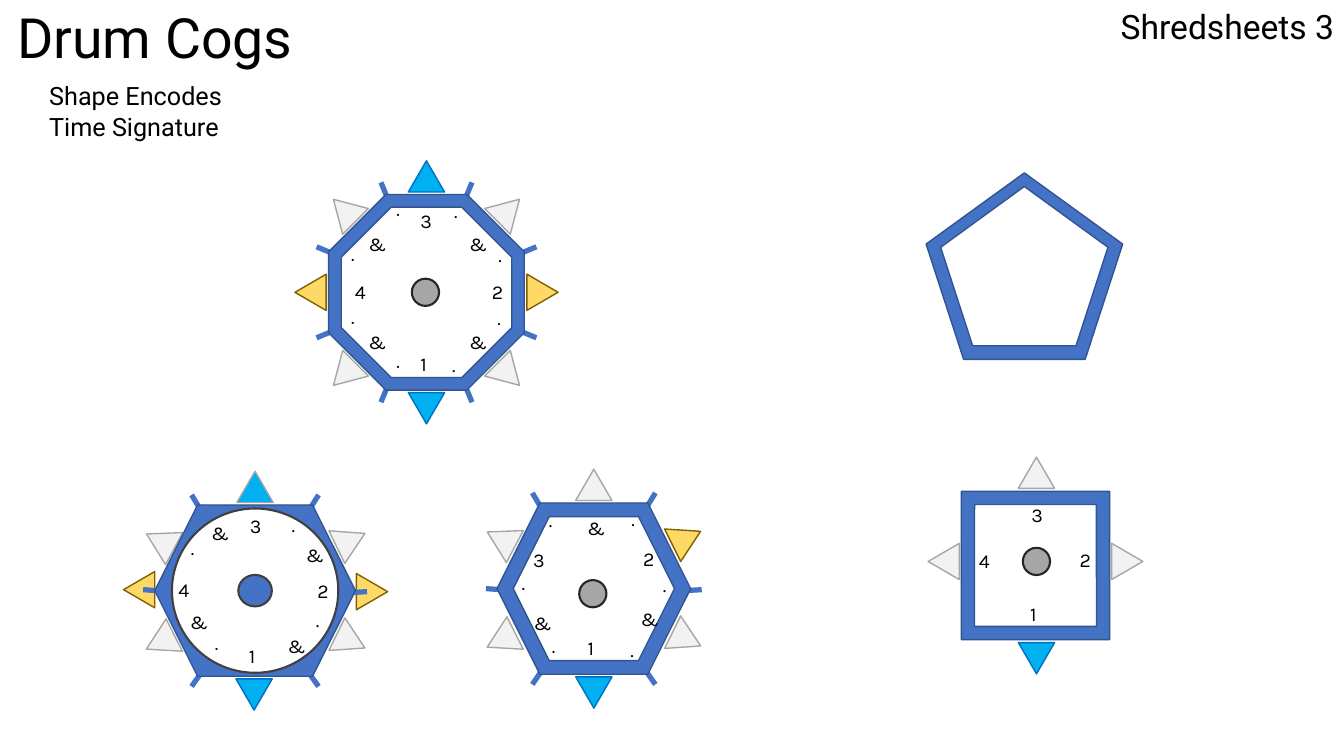
from dataclasses import dataclass
from math import cos, radians, sin

from lxml import etree
from pptx import Presentation
from pptx.dml.color import RGBColor
from pptx.enum.shapes import MSO_CONNECTOR, MSO_SHAPE
from pptx.enum.text import MSO_ANCHOR, MSO_AUTO_SIZE, PP_ALIGN
from pptx.oxml.ns import qn
from pptx.util import Inches, Pt

STRAIGHT = MSO_CONNECTOR.STRAIGHT
TRIANGLE, DISC, DONUT = MSO_SHAPE.ISOSCELES_TRIANGLE, MSO_SHAPE.OVAL, MSO_SHAPE.DONUT
OCTAGON, HEXAGON = MSO_SHAPE.OCTAGON, MSO_SHAPE.HEXAGON
PENTAGON, DIAMOND = MSO_SHAPE.REGULAR_PENTAGON, MSO_SHAPE.DIAMOND
LEFT, RIGHT = PP_ALIGN.LEFT, PP_ALIGN.RIGHT
TOP, MIDDLE = MSO_ANCHOR.TOP, MSO_ANCHOR.MIDDLE
COLS, ROWS = 133.3, 75
CELL = Inches(13.33) / COLS


@dataclass(frozen=True)
class Theme:
    """Fonts, type sizes and (fill, line, line width) styles of the slide."""
    head_font: str = "Roboto"
    mark_font: str = "Karla"
    ink: str = "000000"
    spoke: str = "4472C4"
    spoke_width: float = 3.75
    title: float = 39.6
    header: float = 24
    note: float = 18
    mark: float = 14
    frame: tuple = ("4472C4", "325491", 1)
    face: tuple = ("FFFFFF", "325491", 1)
    dial: tuple = ("FFFFFF", "404040", 1.5)
    hub: tuple = ("A6A6A6", "262626", 1.5)
    blue: tuple = ("00B0F0", "0070C0", 1)
    blue_soft: tuple = ("00B0F0", "A6A6A6", 1)
    gold: tuple = ("FFD966", "806000", 1)
    blank: tuple = ("F2F2F2", "A6A6A6", 1)


T = Theme()
MARK_WIDTHS = {"&": 3.5, ".": 2.7, "1": 3}

OCTAGON_COG = {
    "center": (42.3, 29),
    "teeth": [(11.5 * sin(radians(a)), -11.5 * cos(radians(a)), a, style)
              for a, style in zip(range(0, 360, 45), (T.blue, T.blank, T.gold, T.blank) * 2)],
    "spokes": [(11.8 * sin(radians(a + 22.5)), 11.8 * cos(radians(a + 22.5)))
               for a in range(0, 360, 45)],
    "layers": [(OCTAGON, 19.4, 19.4, T.frame, 0), (OCTAGON, 16.9, 16.9, T.face, 0)],
    "hub": (-0.1, 0),
    "marks": [("3", 0, -7.1), ("2", 7.1, 0), ("1", -0.1, 7.1), ("4", -6.5, 0),
              ("&", 5, -4.8), ("&", 5, 4.9), ("&", -5, -4.8), ("&", -5, 4.9),
              (".", 3.1, -8.1), (".", 7.5, -3.7), (".", 7.4, 2.6), (".", 2.9, 7.2),
              (".", -3, 8.1, 180), (".", -7.5, 3.7, 180),
              (".", -7.5, -2.5, 180), (".", -3, -7, 180)],
}
HEXAGON_COG = {
    "center": (58.9, 58.4),
    "teeth": [(0, -10.3, 0, T.blank), (9.2, -5, 63.5, T.gold), (9.2, 5, 116.2, T.blank),
              (0, 10.3, 180, T.blue), (-9.2, 5.1, 243.2, T.blank), (-9.2, -4.9, 297.9, T.blank)],
    "spokes": [(x * 6.1, y * 9.5) for x in (-1, 1) for y in (-1, 1)] + [(-10.7, 0), (10.7, 0.1)],
    "layers": [(HEXAGON, 19.2, 17, T.frame, 0), (HEXAGON, 16, 14.3, T.face, 0)],
    "hub": (-0.1, 0.5),
    "spoke_start": (-0.1, 0.7),
    "marks": [("&", 5.4, 3), ("&", -5.2, 3.4), ("&", 0.1, -6),
              ("1", -0.1, 5.9), ("2", 5.5, -2.9), ("3", -5.4, -2.8),
              (".", -4.1, -6.8), (".", 4.1, -6.9), (".", 7.2, -0.4), (".", 4, 6.1),
              (".", -4.2, 7, 180), (".", -7.2, 0.7, 180)],
}
DIAL_COG = {
    "center": (25.3, 58.6),
    "teeth": [(0, -10.3, 0, T.blue_soft), (9.5, -5, 64, T.blank), (11.6, 0.1, 90, T.gold),
              (9.5, 5, 116.2, T.blank), (-0.1, 10.3, 180, T.blue), (-9.4, 5.1, 243.2, T.blank),
              (-11.5, -0.1, 270, T.gold), (-9.4, -4.9, 297.9, T.blank)],
    "spokes": [(x * 6.3, y * 9.5) for x in (-1, 1) for y in (-1, 1)] + [(-11.1, -0.1), (11.1, 0.1)],
    "layers": [(HEXAGON, 19.9, 17, T.frame, 0), (DONUT, 16.5, 16.3, T.dial, 0)],
    "spoke_start": (-0.1, 0.7),
    "marks": [("3", 0.1, -6.4), ("2", 6.8, 0), ("1", -0.1, 6.5), ("4", -7, -0.1),
              ("&", -3.6, -5.7), ("&", 5.8, -3.5), ("&", 4, 5.5), ("&", -5.7, 3.1),
              (".", 4, -6.5), (".", 6.4, 2.9), (".", -4, 6.5, 180), (".", -6, -4.2)],
}
SQUARE_COG = {
    "center": (102.7, 56.1),
    "teeth": [(0.1, -9.2, 0, T.blank), (9.1, -0.4, 90, T.blank),
              (0.1, 9.2, 180, T.blue), (-9.1, -0.4, 270, T.blank)],
    "layers": [(DIAMOND, 20.8, 20.8, T.frame, 45), (DIAMOND, 17.1, 17.1, T.face, 45)],
    "hub": (0.1, -0.4),
    "marks": [("4", -5, -0.4), ("1", 0, 4.8), ("2", 5, -0.5), ("3", 0.2, -5)],
}
PENTAGON_COG = {
    "center": (101.6, 26.4),
    "layers": [(PENTAGON, 19.5, 18.5, T.frame, 0), (PENTAGON, 16.6, 15.8, T.face, 0)],
}


def cells(*values):
    """Turn grid cells into slide lengths."""
    return [round(v * CELL) for v in values]


def add_figure(shapes, kind, cx, cy, w, h, style, rotation=0):
    """Add a preset shape centred on a grid point."""
    s = shapes.add_shape(kind, *cells(cx - w / 2, cy - h / 2, w, h))
    fill, line, width = style
    s.shadow.inherit = False
    s.rotation = rotation
    s.fill.solid()
    s.fill.fore_color.rgb = RGBColor.from_string(fill)
    s.line.color.rgb = RGBColor.from_string(line)
    s.line.width = Pt(width)
    return s


def add_spoke(shapes, x1, y1, x2, y2):
    """Add a thick spoke between two grid points."""
    s = shapes.add_connector(STRAIGHT, *cells(x1, y1, x2, y2))
    s.line.color.rgb = RGBColor.from_string(T.spoke)
    s.line.width = Pt(T.spoke_width)
    etree.SubElement(s._element.spPr, qn("a:effectLst"))


def write(s, text, size, font, align=LEFT, anchor=TOP, wrap=True):
    """Write one formatted line of text into a shape."""
    tf = s.text_frame
    frame = {"word_wrap": wrap, "auto_size": MSO_AUTO_SIZE.NONE, "vertical_anchor": anchor}
    for name, value in frame.items():
        setattr(tf, name, value)
    p = tf.paragraphs[0]
    p.alignment = align
    r = p.add_run()
    r.text = text
    for name, value in {"size": Pt(size), "name": font}.items():
        setattr(r.font, name, value)
    r.font.color.rgb = RGBColor.from_string(T.ink)


def add_mark(shapes, text, cx, cy, rotation=0):
    """Add a beat mark centred on a grid point."""
    w, h = MARK_WIDTHS.get(text, 3.2), 3.4
    s = shapes.add_textbox(*cells(cx - w / 2, cy - h / 2, w, h))
    s.rotation = rotation
    write(s, text, T.mark, T.mark_font, wrap=False)


def add_cog(slide, cog):
    """Add one cog as a group of teeth, spokes, layers, hub and marks."""
    shapes = slide.shapes.add_group_shape().shapes
    cx, cy = cog["center"]
    for dx, dy, rotation, style in cog.get("teeth", []):
        add_figure(shapes, TRIANGLE, cx + dx, cy + dy, 3.6, 3.1, style, rotation)
    sx, sy = cog.get("spoke_start", (0, 0))
    for dx, dy in cog.get("spokes", []):
        add_spoke(shapes, cx + sx, cy + sy, cx + dx, cy + dy)
    for kind, w, h, style, rotation in cog["layers"]:
        s = add_figure(shapes, kind, cx, cy, w, h, style, rotation)
        if kind == DONUT:
            s.adjustments[0] = 0.404
    if "hub" in cog:
        dx, dy = cog["hub"]
        add_figure(shapes, DISC, cx + dx, cy + dy, 2.7, 2.7, T.hub)
    for text, dx, dy, *rotation in cog.get("marks", []):
        add_mark(shapes, text, cx + dx, cy + dy, *rotation)


def add_headings(slide):
    """Fill the title and add the header and the note."""
    title = slide.shapes.title
    title.left, title.top, title.width, title.height = cells(0.7, 0.3, 115, 7.4)
    write(title, "Drum Cogs", T.title, T.head_font, anchor=MIDDLE)
    title.text_frame.paragraphs[0].line_spacing = 0.9
    header = slide.shapes.add_textbox(*cells(COLS / 2, 0.1, COLS / 2, 5))
    write(header, "Shredsheets 3", T.header, T.head_font, RIGHT)
    note = slide.shapes.add_textbox(*cells(3.9, 7.5, 19.3, 7.1))
    write(note, "Shape Encodes Time Signature", T.note, T.head_font)


def main():
    """Build and save the slide."""
    prs = Presentation()
    prs.slide_width, prs.slide_height = cells(COLS, ROWS)
    slide = prs.slides.add_slide(prs.slide_layouts[5])
    add_headings(slide)
    for cog in (SQUARE_COG, OCTAGON_COG, HEXAGON_COG, PENTAGON_COG, DIAL_COG):
        add_cog(slide, cog)
    prs.save("out.pptx")


if __name__ == "__main__":
    main()
